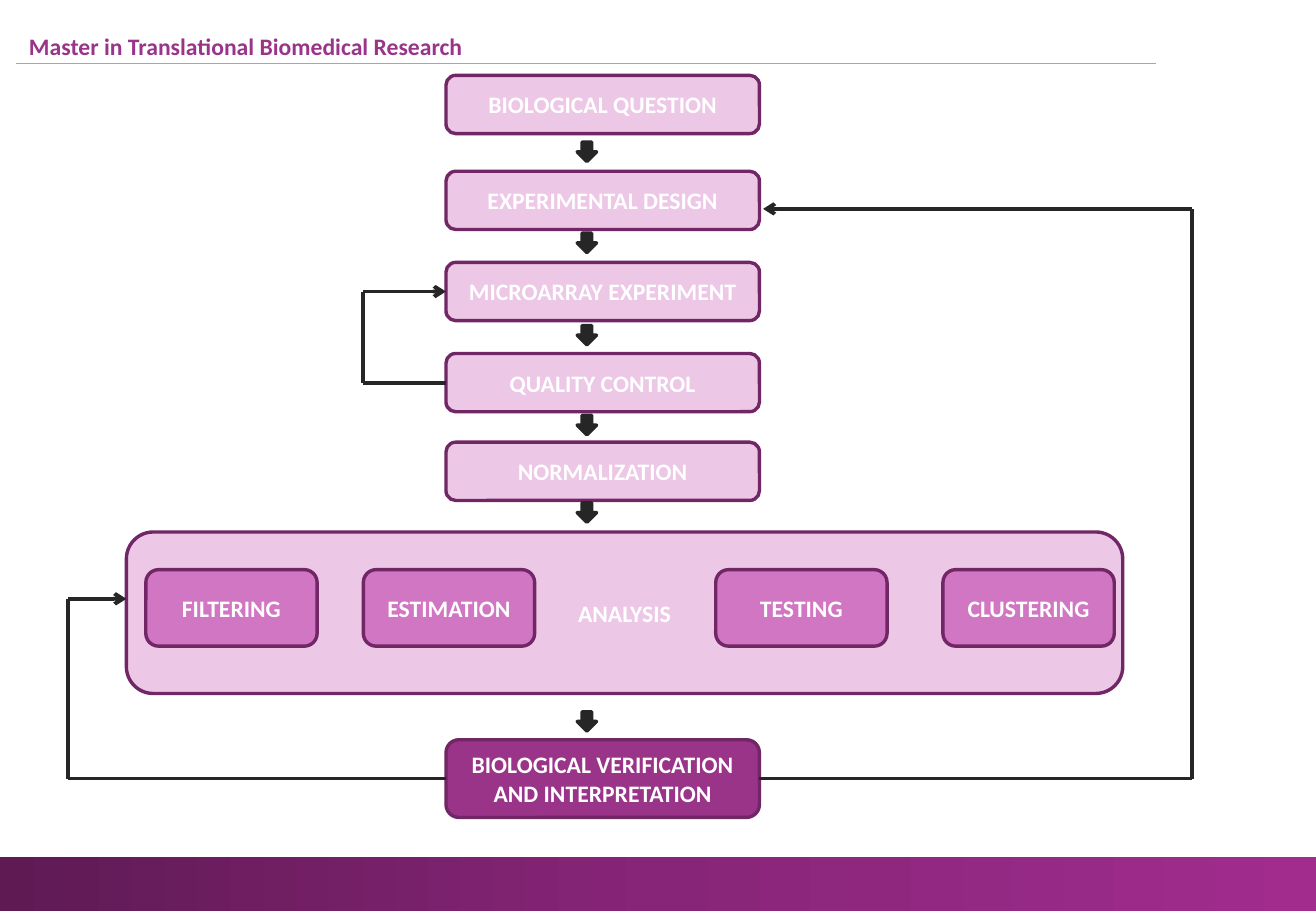
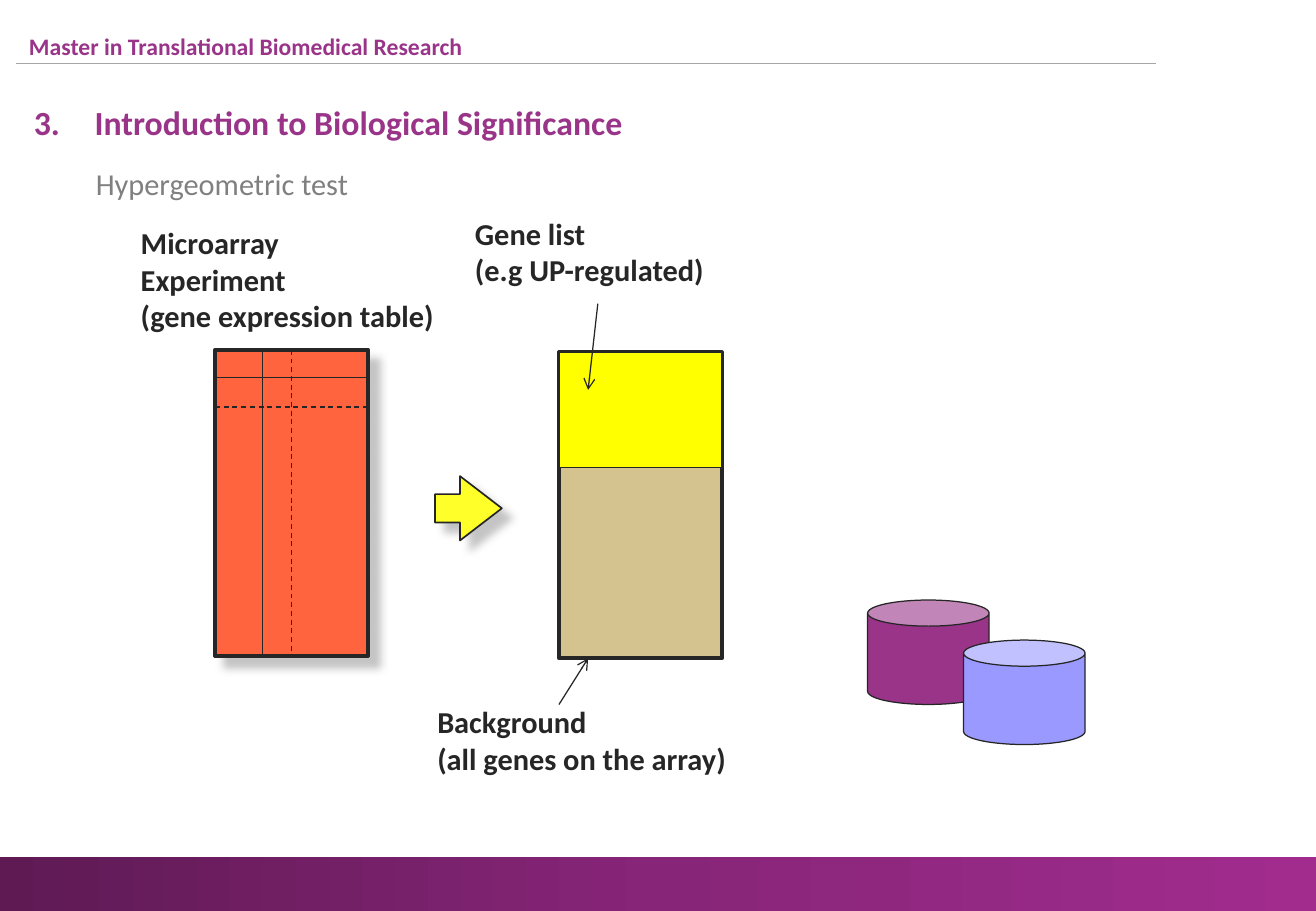
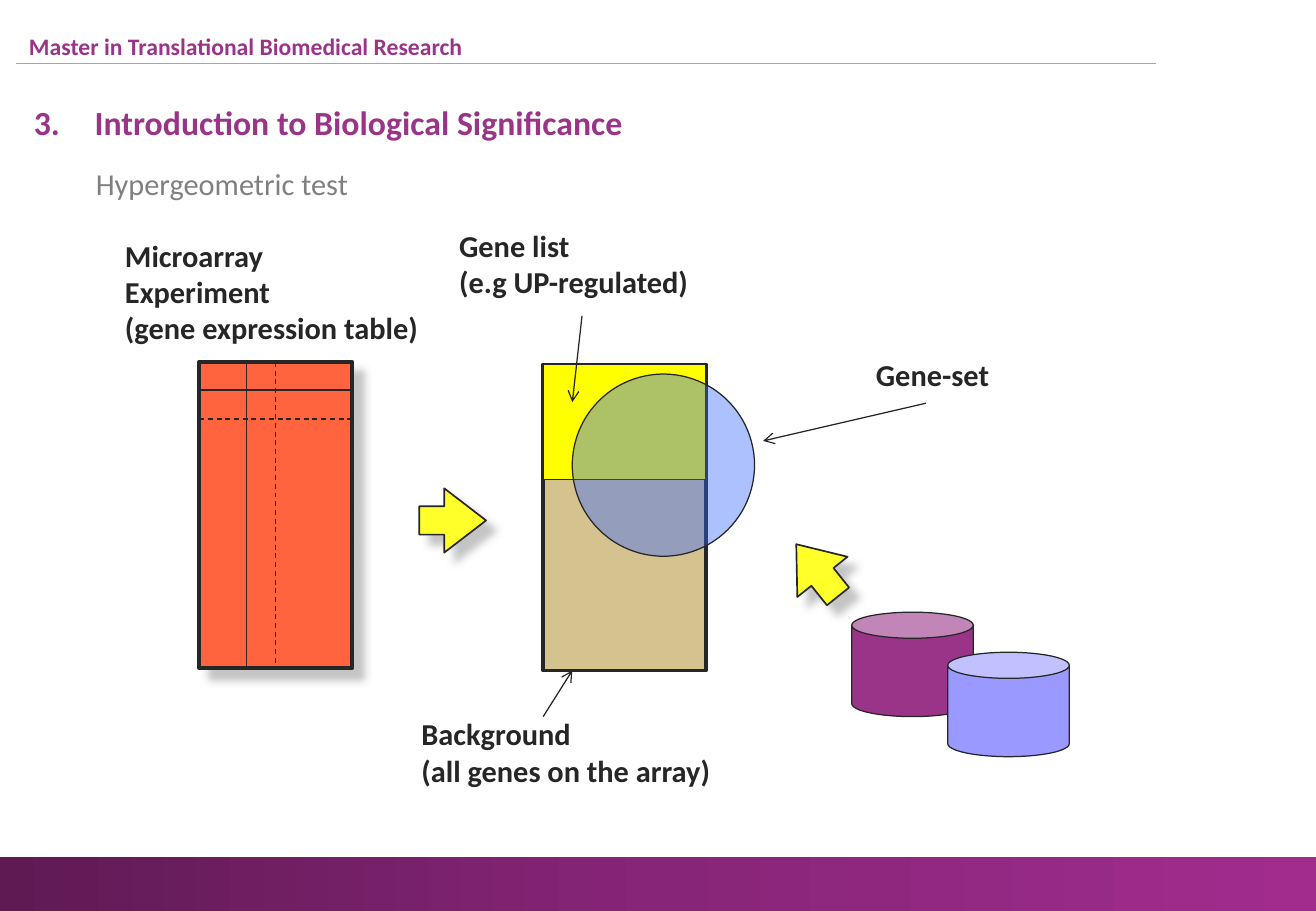
from dataclasses import dataclass
from itertools import pairwise

from lxml.etree import SubElement
from pptx import Presentation
from pptx.dml.color import RGBColor
from pptx.enum.dml import MSO_LINE_DASH_STYLE as Dash
from pptx.enum.shapes import MSO_CONNECTOR as Connector, MSO_SHAPE as Preset
from pptx.enum.text import MSO_ANCHOR as Anchor, MSO_AUTO_SIZE as AutoSize, PP_ALIGN as Align
from pptx.oxml.ns import qn
from pptx.util import Pt

EMU_PER_PX = 9144
TOP, LEFT, BOTTOM, RIGHT = range(4)


@dataclass(frozen=True)
class Theme:
    font: str = "Calibri"
    small: int = 14
    body: int = 18
    heading: int = 20
    hairline: float = 0.75
    arrow_outline: float = 1
    box_outline: float = 2
    bold_line: float = 2.25
    band: tuple = ("5F1A54", "872578", "A12C8E")
    purple: str = "993489"
    outline: str = "712665"
    pale: str = "ECC7E6"
    pink: str = "D176C2"
    white: str = "FFFFFF"
    ink: str = "262626"
    gray: str = "808080"
    rule: str = "A6A6A6"
    shadow: str = "B2B2B2"
    table: str = "FF643F"
    sand: str = "D5C38F"
    yellow: str = "FFFF00"
    arrow: str = "FFFF29"
    violet: str = "9999FF"
    blue: str = "3366FF"


THEME = Theme()


@dataclass(frozen=True)
class Box:
    left: int
    top: int
    width: int
    height: int

    def inside(self, left, top, width, height):
        return Box(self.left + left, self.top + top, width, height)

    def point(self, x, y):
        return self.left + x, self.top + y

    def emu(self):
        return [px(n) for n in (self.left, self.top, self.width, self.height)]


PAGE = Box(0, 0, 1083, 750)


def px(length):
    return length * EMU_PER_PX


def add_element(parent, tag, **attributes):
    return SubElement(parent, qn(tag), {name: str(value) for name, value in attributes.items()})


def format_text(shape, text, size, color, bold=True, align=Align.LEFT):
    shape.text_frame.text = text
    for paragraph in shape.text_frame.paragraphs:
        paragraph.alignment = align
        for run in paragraph.runs:
            run.font.name = THEME.font
            run.font.size = Pt(size)
            run.font.bold = bold
            run.font.color.rgb = RGBColor.from_string(color)


def add_text(slide, box, text, size=THEME.body, color=THEME.ink, bold=True, wrap=True):
    shape = slide.shapes.add_textbox(*box.emu())
    shape.text_frame.word_wrap = wrap
    shape.text_frame.auto_size = AutoSize.SHAPE_TO_FIT_TEXT
    format_text(shape, text, size, color, bold)
    return shape


def add_preset(slide, preset, box, fill, line=THEME.ink, width=THEME.hairline):
    shape = slide.shapes.add_shape(preset, *box.emu())
    shape.shadow.inherit = False
    shape.fill.solid()
    shape.fill.fore_color.rgb = RGBColor.from_string(fill)
    shape.line.color.rgb = RGBColor.from_string(line)
    shape.line.width = Pt(width)
    return shape


def add_shadow(shape):
    effects = shape._element.spPr.find(qn("a:effectLst"))
    shadow = add_element(effects, "a:outerShdw", blurRad=Pt(5), dist=Pt(8.5),
                         dir=45 * 60000, algn="ctr", rotWithShape=0)
    color = add_element(shadow, "a:srgbClr", val=THEME.shadow)
    add_element(color, "a:alpha", val=75000)


def add_line(slide, start, end, color=THEME.ink, width=THEME.hairline,
             dashed=False, arrow=False, begin=None, finish=None):
    connector = slide.shapes.add_connector(
        Connector.STRAIGHT, *[px(n) for n in (*start, *end)])
    connector.line.color.rgb = RGBColor.from_string(color)
    connector.line.width = Pt(width)
    if dashed:
        connector.line.dash_style = Dash.DASH
    if arrow:
        add_element(connector.line._get_or_add_ln(), "a:tailEnd", type="arrow")
    add_element(connector._element.spPr, "a:effectLst")
    if begin:
        connector.begin_connect(*begin)
    if finish:
        connector.end_connect(*finish)


def add_route(slide, box, corners, begin, finish=None):
    segments = list(pairwise(box.point(*corner) for corner in corners))
    for index, (start, end) in enumerate(segments):
        last = index == len(segments) - 1
        add_line(slide, start, end, width=THEME.bold_line, arrow=last,
                 begin=None if index else begin, finish=finish if last else None)


def add_step(slide, box, text, fill):
    shape = add_preset(slide, Preset.ROUNDED_RECTANGLE, box, fill,
                       THEME.outline, THEME.box_outline)
    shape.text_frame.word_wrap = True
    shape.text_frame.vertical_anchor = Anchor.MIDDLE
    format_text(shape, text, THEME.small, THEME.white, align=Align.CENTER)
    return shape


def add_block_arrow(slide, box, rotation=0):
    shape = add_preset(slide, Preset.RIGHT_ARROW, box, THEME.arrow, width=THEME.arrow_outline)
    shape.adjustments[0] = 0.44
    shape.adjustments[1] = 0.65
    shape.rotation = rotation
    add_shadow(shape)


def add_band(slide, box):
    band = add_preset(slide, Preset.RECTANGLE, box, THEME.band[0])
    band.line.fill.background()
    band.fill.gradient()
    band.fill.gradient_angle = 0
    stops = band._element.spPr.find(qn("a:gradFill")).find(qn("a:gsLst"))
    for stop in list(stops):
        stops.remove(stop)
    for index, color in enumerate(THEME.band):
        stop = add_element(stops, "a:gs", pos=index * 50000)
        add_element(stop, "a:srgbClr", val=color)


def new_slide(presentation):
    slide = presentation.slides.add_slide(presentation.slide_layouts[6])
    add_band(slide, PAGE.inside(0, 706, PAGE.width, 44))
    add_line(slide, PAGE.point(13, 52), PAGE.point(951, 52), THEME.rule)
    add_text(slide, PAGE.inside(14, 21, 701, 34),
             "Master in Translational Biomedical Research", THEME.small, THEME.purple)
    return slide


def add_headings(slide, box):
    heading = add_text(slide, box.inside(0, 0, 509, 55), "Introduction to Biological Significance",
                       THEME.heading, THEME.purple, wrap=False)
    paragraph = heading.text_frame.paragraphs[0]
    paragraph.line_spacing = 1.5
    properties = paragraph._p.get_or_add_pPr()
    properties.set("marL", str(px(50)))
    properties.set("indent", str(px(-50)))
    add_element(properties, "a:buFont", typeface="+mj-lt")
    add_element(properties, "a:buAutoNum", type="arabicPeriod", startAt=3)
    add_text(slide, box.inside(51, 69, 874, 40), "Hypergeometric test",
             color=THEME.gray, bold=False)


def add_analysis(slide, box):
    add_step(slide, box, "ANALYSIS", THEME.pale)
    methods = {"FILTERING": 16, "ESTIMATION": 195, "TESTING": 485, "CLUSTERING": 672}
    for text, left in methods.items():
        add_step(slide, box.inside(left, 31, 141, 63), text, THEME.pink)


def add_workflow(slide, box):
    stages = {
        "BIOLOGICAL QUESTION": 0,
        "EXPERIMENTAL DESIGN": 79,
        "MICROARRAY EXPERIMENT": 154,
        "QUALITY CONTROL": 229,
        "NORMALIZATION": 302,
    }
    steps = {text: add_step(slide, box.inside(311, top, 258, 48), text, THEME.pale)
             for text, top in stages.items()}
    add_analysis(slide, box.inside(48, 376, 820, 133))
    verification = add_step(slide, box.inside(311, 547, 258, 64),
                            "BIOLOGICAL VERIFICATION AND INTERPRETATION", THEME.purple)
    for top in (55, 130, 206, 280, 352, 524):
        add_preset(slide, Preset.DOWN_ARROW, box.inside(419, top, 16, 16),
                   THEME.ink, width=THEME.box_outline)
    add_route(slide, box, [(569, 579), (925, 579), (925, 110), (572, 110)],
              (verification, RIGHT))
    add_route(slide, box, [(311, 253), (243, 253), (243, 178), (311, 178)],
              (steps["QUALITY CONTROL"], LEFT), (steps["MICROARRAY EXPERIMENT"], LEFT))
    add_route(slide, box, [(311, 579), (0, 579), (0, 431), (48, 431)],
              (verification, LEFT))


def add_expression_table(slide, box):
    table = add_preset(slide, Preset.RECTANGLE, box, THEME.table, width=THEME.bold_line)
    add_shadow(table)
    for y, dashed in ((23, False), (47, True)):
        add_line(slide, box.point(0, y), box.point(box.width, y), dashed=dashed)
    add_line(slide, box.point(39, 0), box.point(39, box.height))
    middle = box.width // 2
    add_line(slide, box.point(middle, 0), box.point(middle, box.height), dashed=True,
             begin=(table, TOP), finish=(table, BOTTOM))


def add_hypergeometric_test(slide, box):
    for left, top, color in ((608, 322, THEME.purple), (687, 355, THEME.violet)):
        add_preset(slide, Preset.CAN, box.inside(left, top, 100, 86), color)
    add_text(slide, box.inside(0, 8, 268, 100),
             "Microarray\nExperiment\n(gene expression table)")
    add_expression_table(slide, box.inside(71, 116, 126, 252))
    add_preset(slide, Preset.RECTANGLE, box.inside(354, 118, 134, 252),
               THEME.sand, width=THEME.bold_line)
    add_preset(slide, Preset.RECTANGLE, box.inside(354, 118, 134, 95), THEME.yellow)
    add_block_arrow(slide, box.inside(252, 220, 55, 53))
    add_text(slide, box.inside(275, 0, 252, 70), "Gene list\n(e.g UP-regulated)")
    add_line(slide, box.point(386, 78), box.point(378, 149), arrow=True)
    add_text(slide, box.inside(244, 402, 315, 71), "Background\n(all genes on the array)")
    add_line(slide, box.point(354, 408), box.point(378, 370), arrow=True)


def add_gene_set(slide, box):
    add_block_arrow(slide, box.inside(552, 261, 55, 53), 231.3)
    circle = add_preset(slide, Preset.OVAL, box.inside(378, 126, 150, 150), THEME.blue)
    color = circle._element.spPr.find(qn("a:solidFill")).find(qn("a:srgbClr"))
    add_element(color, "a:alpha", val=40000)
    add_line(slide, box.point(669, 150), box.point(535, 181), arrow=True)
    add_text(slide, box.inside(618, 106, 252, 40), "Gene-set")


def main():
    presentation = Presentation()
    presentation.slide_width = px(PAGE.width)
    presentation.slide_height = px(PAGE.height)

    add_workflow(new_slide(presentation), PAGE.inside(56, 62, 925, 611))

    for left, top, with_gene_set in ((106, 172, False), (93, 182, True)):
        slide = new_slide(presentation)
        add_headings(slide, PAGE.inside(18, 62, 925, 109))
        diagram = PAGE.inside(left, top, 870, 473)
        add_hypergeometric_test(slide, diagram)
        if with_gene_set:
            add_gene_set(slide, diagram)

    presentation.save("out.pptx")


if __name__ == "__main__":
    main()
